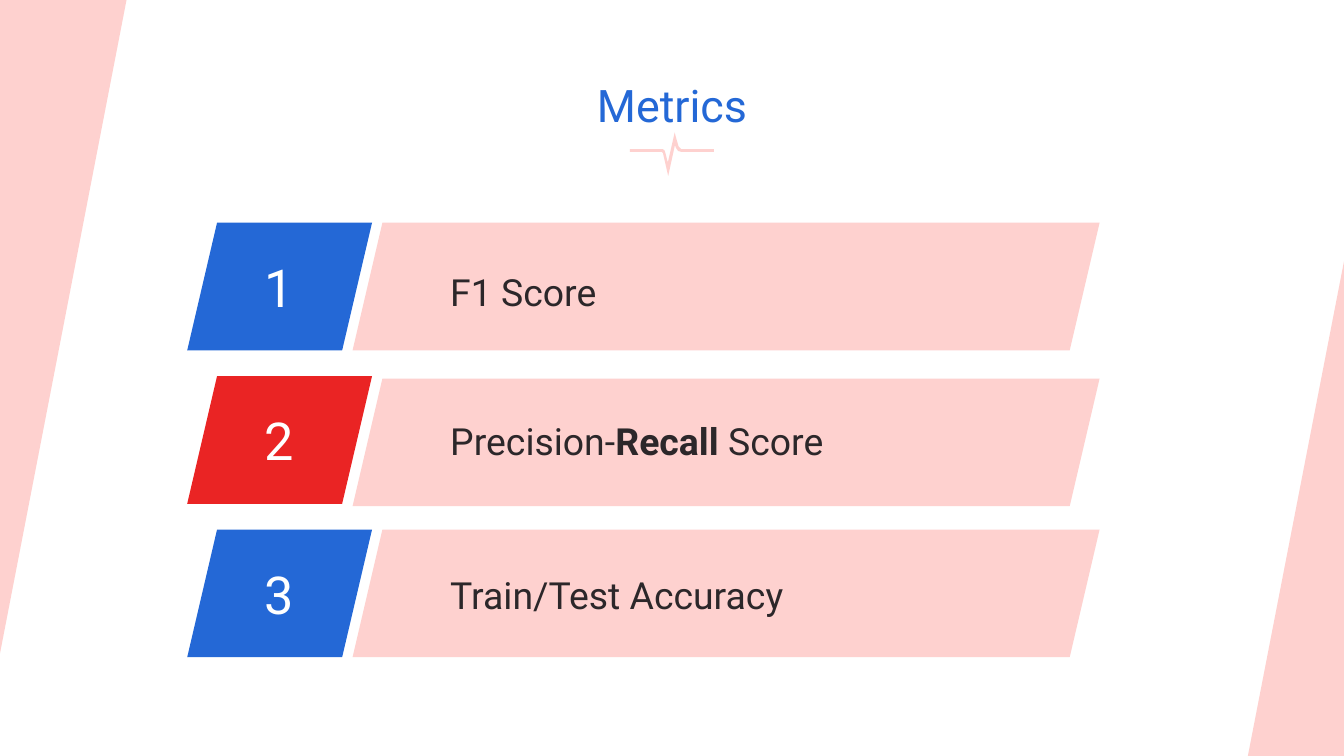
from lxml.etree import SubElement
from pptx import Presentation
from pptx.dml.color import RGBColor
from pptx.enum.shapes import MSO_SHAPE as Shape
from pptx.enum.text import MSO_ANCHOR as Anchor, PP_ALIGN as Align
from pptx.oxml.ns import qn
from pptx.util import Pt

BLUE = RGBColor(0x24, 0x68, 0xD6)
RED = RGBColor(0xEA, 0x24, 0x24)
PINK = RGBColor(0xFE, 0xD1, 0xCF)
WHITE = RGBColor(0xFF, 0xFF, 0xFF)
INK = RGBColor(0x2C, 0x27, 0x2A)

WIDTH, HEIGHT = 720, 405
ROW_HEIGHT, SLANT, ROW_TOP, ROW_PITCH = 68.4, 16, 119.3, 82.2
TAG_LEFT, TAG_WIDTH = 100.3, 99
CARD_LEFT, CARD_WIDTH, SHADE_SHIFT = 188.9, 400.2, 6.5
INSET = 7.2

TITLE_FORMAT = {"size": Pt(24), "name": "Roboto", "bold": False}
NUMBER_FORMAT = {"size": Pt(28), "name": "Roboto", "bold": False}
LABEL_FORMAT = {"size": Pt(20), "name": "Roboto", "bold": False}

# Label runs as (text, bold), tag colour, card top and label top
ROWS = [
    ([("F1 Score", False)], BLUE, ROW_TOP, 144),
    ([("Precision-", False), ("Recall", True), (" Score", False)], RED, 202.8, 223.8),
    ([("Train/Test Accuracy", False)], BLUE, ROW_TOP + 2 * ROW_PITCH, 306.7),
]

LEFT_WEDGE = [(0, 0), (67.8, 0), (0, 350.2)]
RIGHT_WEDGE = [(WIDTH, 140), (WIDTH, HEIGHT), (668.5, HEIGHT)]
PULSE = [
    (361.5, 71), (357.8, 87.1), (356.5, 82), (356, 80.5), (355, 79.9),
    (337.5, 79.9), (337.5, 81.4), (354.6, 81.4), (355.2, 82), (358, 94.3),
    (361.6, 77.8), (362.2, 79.3), (363.3, 80.9), (365, 81.4), (382.5, 81.4),
    (382.5, 79.9), (365, 79.9), (363.6, 78.6), (362.4, 74.5),
]


def paint(shape, colour):
    shape.shadow.inherit = False
    shape.fill.solid()
    shape.fill.fore_color.rgb = colour
    shape.line.fill.background()


def add_outline(page, points, colour):
    start, *rest = [(Pt(x), Pt(y)) for x, y in points]
    builder = page.shapes.build_freeform(*start)
    builder.add_line_segments(rest)
    outline = builder.convert_to_shape()
    paint(outline, colour)
    return outline


def add_span(para, text, formats, colour):
    span = para.add_run()
    span.text = text
    for name, value in formats.items():
        setattr(span.font, name, value)
    span.font.color.rgb = colour


def set_frame(shape, anchor, inset):
    frame = shape.text_frame
    values = {"word_wrap": True, "vertical_anchor": anchor}
    for side in ("left", "top", "right", "bottom"):
        values[f"margin_{side}"] = Pt(inset)
    for name, value in values.items():
        setattr(frame, name, value)
    return frame.paragraphs[0]


def place(holder, left, top, width, height):
    """Position a placeholder and bring it in front of the shapes drawn so far."""
    holder.left, holder.top = Pt(left), Pt(top)
    holder.width, holder.height = Pt(width), Pt(height)
    holder.element.getparent().append(holder.element)


def add_card(page, top):
    for left, colour in ((CARD_LEFT - SHADE_SHIFT, WHITE), (CARD_LEFT, PINK)):
        card = page.shapes.add_shape(
            Shape.PARALLELOGRAM, Pt(left), Pt(top), Pt(CARD_WIDTH), Pt(ROW_HEIGHT))
        card.adjustments[0] = SLANT / ROW_HEIGHT
        paint(card, colour)


def add_tag(page, number, top, colour):
    right, bottom = TAG_LEFT + TAG_WIDTH, top + ROW_HEIGHT
    points = [(TAG_LEFT + SLANT, top), (TAG_LEFT, bottom),
              (right - SLANT, bottom), (right, top)]
    tag = add_outline(page, points, colour)
    para = set_frame(tag, Anchor.MIDDLE, INSET)
    para.alignment = Align.CENTER
    add_span(para, str(number), NUMBER_FORMAT, WHITE)


def fill_title(holder, text):
    place(holder, 0, 34.6, WIDTH, 33.1)
    para = set_frame(holder, Anchor.TOP, INSET)
    para.alignment = Align.CENTER
    add_span(para, text, TITLE_FORMAT, BLUE)


def fill_label(holder, spans, top):
    place(holder, 241.2, top, 238.3, 23)
    para = set_frame(holder, Anchor.TOP, 0)
    para.alignment = Align.LEFT
    para.space_before, para.space_after = Pt(0), Pt(16)
    properties = para._p.get_or_add_pPr()
    properties.set("marL", "0")
    properties.set("indent", "0")
    SubElement(properties, qn("a:buNone"))
    for text, bold in spans:
        add_span(para, text, {**LABEL_FORMAT, "bold": bold}, INK)


def main():
    deck = Presentation()
    deck.slide_width, deck.slide_height = Pt(WIDTH), Pt(HEIGHT)
    page = deck.slides.add_slide(deck.slide_layouts.get_by_name("Comparison"))
    title, *labels = list(page.placeholders)
    spare = labels.pop()
    spare.element.getparent().remove(spare.element)

    for points in (PULSE, LEFT_WEDGE, RIGHT_WEDGE):
        add_outline(page, points, PINK)
    for _, _, card_top, _ in reversed(ROWS):
        add_card(page, card_top)
    for holder, (spans, _, _, label_top) in zip(labels, ROWS):
        fill_label(holder, spans, label_top)
    fill_title(title, "Metrics")
    for index, (_, colour, _, _) in enumerate(ROWS):
        add_tag(page, index + 1, ROW_TOP + index * ROW_PITCH, colour)
    deck.save("out.pptx")


if __name__ == "__main__":
    main()
